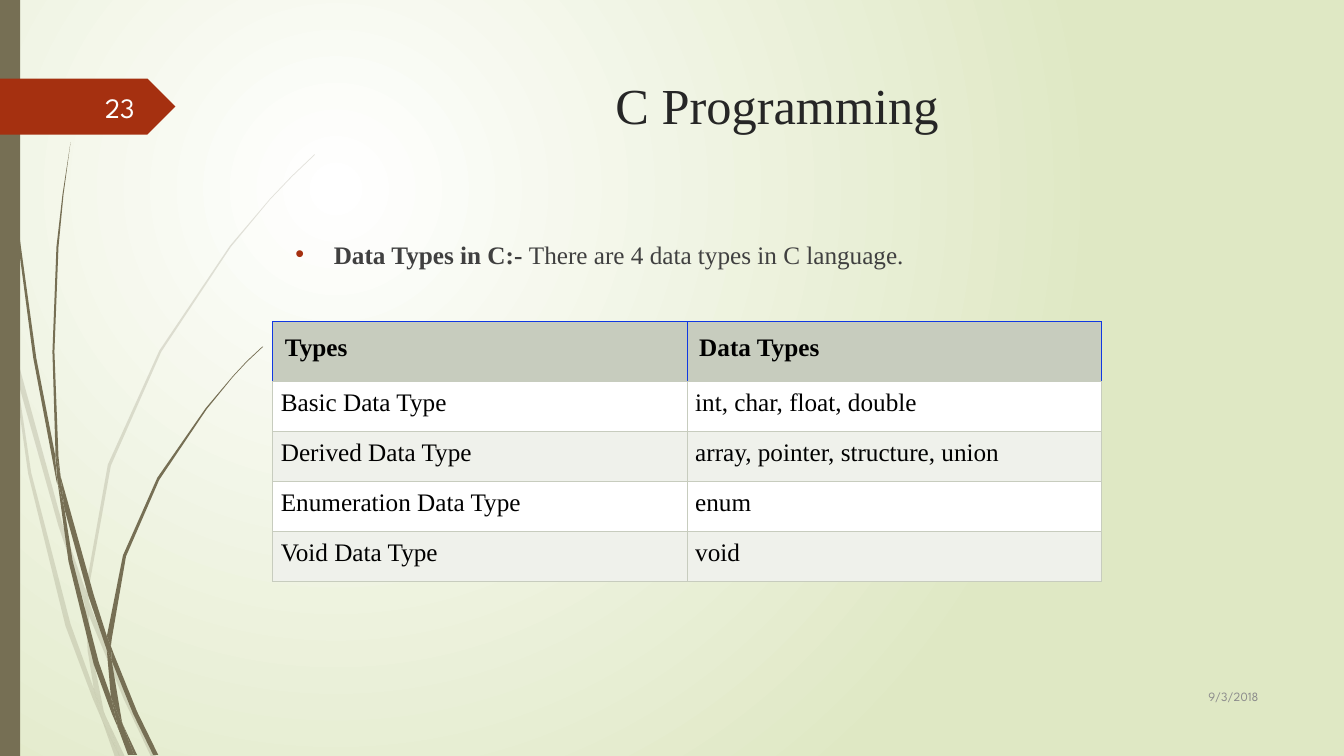
from typing import NamedTuple, Optional

from lxml.etree import SubElement
from pptx import Presentation
from pptx.dml.color import RGBColor as RGB
from pptx.enum.shapes import MSO_SHAPE as SHAPE
from pptx.enum.text import MSO_ANCHOR as ANCHOR, PP_ALIGN as ALIGN
from pptx.oxml.ns import qn
from pptx.util import Inches, Pt

COLORS = {
    "olive": "766F54", "rust": "A53010", "white": "FFFFFF", "meadow": "DFE8C4",
    "title": "262626", "body": "404040", "date": "8C8C8C", "number": "FEFFFF",
    "black": "000000", "header": "C7CCBE", "band": "EFF1EB", "blue": "1038E2",
}
SERIF, SANS = "Times New Roman", "League Spartan"
BORDER_PT = 0.75


class Box(NamedTuple):
    """Left, top, width and height in percent of the slide."""
    left: float
    top: float
    width: float
    height: float


class Style(NamedTuple):
    """Look of a run of text."""
    size: float
    font: str
    color: str
    bold: bool = False


class Grass(NamedTuple):
    """A tuft of grass: blade outlines in inches, and their opacity."""
    blades: list
    alpha: Optional[int] = None


class Label(NamedTuple):
    """A small right-aligned text."""
    text: str
    box: Box
    style: Style


PALE_GRASS = Grass([
    [(.11, 3.5), (.09, 3.22), (0, 2.82), (0, 2.99), (.1, 3.44)],
    [(.58, 5.22), (.84, 5.99), (.85, 5.86), (.62, 5.2), (.14, 3.45), (.17, 3.76)],
    [(.92, 6.07), (.88, 5.96), (.88, 6.1), (1.23, 6.94), (1.5, 7.51), (1.55, 7.51),
     (1.27, 6.92)],
    [(1.19, 7.51), (1.24, 7.51), (1.05, 7.11)],
    [(.93, 6.83), (.7, 6.19), (.31, 4.69), (.17, 3.76), (.11, 3.5), (.28, 4.7),
     (.65, 6.21), (.92, 6.93), (1.01, 7.14), (.99, 7.07)],
    [(.84, 5.99), (.87, 6.46), (.93, 6.83), (.96, 6.92), (1.05, 7.11), (1.03, 7.06),
     (.91, 6.46), (.88, 6.1), (.88, 6.08)],
    [(.88, 5.84), (1.1, 4.62), (1.6, 3.49), (2.29, 2.45), (2.68, 1.98), (2.9, 1.75),
     (3.12, 1.54), (3.12, 1.53), (2.89, 1.75), (2.68, 1.97), (2.28, 2.44),
     (1.58, 3.48), (1.07, 4.61), (.85, 5.84), (.85, 5.86), (.88, 5.96)],
    [(1.01, 7.14), (1.14, 7.51), (1.19, 7.51)],
    [(.88, 6.08), (.88, 6.1), (.88, 5.96), (.85, 5.86), (.84, 5.99)],
    [(.96, 6.92), (.93, 6.83), (.99, 7.07), (1.01, 7.14), (1.19, 7.51), (1.05, 7.11)],
], 20)
DARK_GRASS = Grass([
    [(.07, 1.1), (.17, 2.33), (.33, 3.55), (.56, 4.77), (.57, 4.81), (.55, 4.57),
     (.55, 4.53), (.36, 3.55), (.19, 2.32), (.08, 1.09), (.05, .48), (.04, 0),
     (.03, 0), (.04, .48)],
    [(.88, 5.92), (1.06, 6.45), (1.06, 6.31), (.93, 5.9), (.6, 4.72), (.64, 5.05)],
    [(1.13, 6.49), (1.1, 6.41), (1.11, 6.56), (1.32, 7.08), (1.52, 7.49),
     (1.57, 7.49), (1.36, 7.06)],
    [(1.1, 6.91), (.98, 6.57), (.72, 5.56), (.64, 5.05), (.57, 4.77), (.68, 5.57),
     (.93, 6.59), (1.11, 7.08), (1.17, 7.22), (1.16, 7.17)],
    [(.6, 4.72), (.58, 4.53), (.54, 3.49), (.58, 2.45), (.63, 1.93), (.7, 1.41),
     (.62, 1.93), (.56, 2.45), (.52, 3.49), (.55, 4.49)],
    [(1.33, 7.49), (1.36, 7.49), (1.22, 7.19)],
    [(.57, 4.77), (.64, 5.05), (.6, 4.72), (.55, 4.49), (.55, 4.53)],
    [(1.11, 6.33), (1.25, 5.52), (1.58, 4.76), (2.05, 4.06), (2.31, 3.74),
     (2.45, 3.59), (2.61, 3.44), (2.6, 3.44), (2.45, 3.58), (2.31, 3.73),
     (2.04, 4.05), (1.56, 4.74), (1.22, 5.51), (1.06, 6.31), (1.1, 6.41)],
    [(1.17, 7.22), (1.27, 7.49), (1.31, 7.49)],
    [(1.06, 6.45), (1.1, 6.91), (1.16, 7.06), (1.22, 7.19), (1.21, 7.16),
     (1.11, 6.56), (1.09, 6.51)],
    [(1.06, 6.45), (1.09, 6.51), (1.11, 6.56), (1.1, 6.41), (1.06, 6.31)],
    [(1.16, 7.06), (1.1, 6.91), (1.16, 7.17), (1.17, 7.22), (1.3, 7.49),
     (1.33, 7.49), (1.22, 7.19)],
])
LABELS = [
    Label("9/3/2018", Box(85, 89.43, 9.38, 5.47), Style(9, SANS, "date")),
    Label("23", Box(4.38, 11.47, 6.38, 5.33), Style(20, SANS, "number")),
]
ROWS = [
    ("Types", "Data Types"),
    ("Basic Data Type", "int, char, float, double"),
    ("Derived Data Type", "array, pointer, structure, union"),
    ("Enumeration Data Type", "enum"),
    ("Void Data Type", "void"),
]
TABLE_HEIGHT, HEADER_HEIGHT = 2.58, 0.59

prs = Presentation()
prs.slide_width, prs.slide_height = Inches(13.33), Inches(7.5)
s = prs.slides.add_slide(prs.slide_layouts[5])


def rgb(name: str) -> RGB:
    """Look a colour up by name."""
    return RGB.from_string(COLORS[name])


def place(box: Box) -> list:
    """Turn shares of the slide into lengths."""
    sides = (prs.slide_width, prs.slide_height) * 2
    return [round(share * side / 100) for share, side in zip(box, sides)]


def write(p, text: str, style: Style) -> None:
    """Add a formatted run to a paragraph."""
    r = p.add_run()
    r.text = text
    values = {"size": Pt(style.size), "name": style.font, "bold": style.bold}
    for key, value in values.items():
        setattr(r.font, key, value)
    r.font.color.rgb = rgb(style.color)


def paint(sp, color: str, alpha: Optional[int] = None) -> None:
    """Give a shape a plain fill, without line or shadow."""
    sp.shadow.inherit = False
    sp.fill.solid()
    sp.fill.fore_color.rgb = rgb(color)
    sp.line.fill.background()
    if alpha is not None:
        tint = next(sp.element.iter(qn("a:srgbClr")))
        SubElement(tint, qn("a:alpha"), {"val": str(alpha * 1000)})


def paint_background() -> None:
    """Fill the background with a round gradient."""
    fill = s.background.fill
    fill.gradient()
    for stop, color in zip(fill.gradient_stops, ("white", "meadow")):
        stop.color.rgb = rgb(color)
    grad = next(s.element.iter(qn("a:gradFill")))
    for line in grad.findall(qn("a:lin")):
        grad.remove(line)
    circle = SubElement(grad, qn("a:path"), {"path": "circle"})
    SubElement(circle, qn("a:fillToRect"),
               {"l": "50000", "t": "50000", "r": "100000", "b": "100000"})


def draw_grass(grass: Grass) -> None:
    """Draw each blade of a tuft as a closed outline."""
    for blade in grass.blades:
        start, *rest = [(Inches(x), Inches(y)) for x, y in blade]
        builder = s.shapes.build_freeform(*start)
        builder.add_line_segments(rest, close=True)
        paint(builder.convert_to_shape(), "olive", grass.alpha)


def add_text(box: Box):
    """Add a wrapping text box and return its frame."""
    tf = s.shapes.add_textbox(*place(box)).text_frame
    tf.word_wrap = True
    return tf


def set_borders(cell, colors: dict) -> None:
    """Draw the cell's edges; must run before the cell is filled."""
    props = cell._tc.get_or_add_tcPr()
    for edge, color in colors.items():
        line = SubElement(props, qn(f"a:ln{edge}"), {"w": str(Pt(BORDER_PT))})
        SubElement(SubElement(line, qn("a:solidFill")), qn("a:srgbClr"),
                   {"val": COLORS[color]})


def add_types_table() -> None:
    """Add the table of data types."""
    frame = s.shapes.add_table(len(ROWS), 2, *place(Box(20.3, 42.53, 61.66, 34.4)))
    table = frame.table
    table.first_row = table.horz_banding = False
    row_height = (TABLE_HEIGHT - HEADER_HEIGHT) / (len(ROWS) - 1)
    for i, texts in enumerate(ROWS):
        head = i == 0
        table.rows[i].height = Inches(HEADER_HEIGHT if head else row_height)
        edge = "blue" if head else "header"
        for j, text in enumerate(texts):
            cell = table.cell(i, j)
            set_borders(cell, {"L": edge, "R": edge, "T": edge, "B": "header"})
            cell.fill.solid()
            cell.fill.fore_color.rgb = rgb(
                "header" if head else "white" if i % 2 else "band")
            for side in ("left", "right", "top", "bottom"):
                setattr(cell, f"margin_{side}", Inches(0.12 if head else 0.08))
            write(cell.text_frame.paragraphs[0], text, Style(18, SERIF, "black", head))


paint_background()
for tuft in (PALE_GRASS, DARK_GRASS):
    draw_grass(tuft)
for preset, box, color in ((SHAPE.RECTANGLE, Box(0, 0, 1.5, 100), "olive"),
                           (SHAPE.PENTAGON, Box(0, 10.4, 13.05, 7.4), "rust")):
    paint(s.shapes.add_shape(preset, *place(box)), color)

title = s.shapes.title
title.left, title.top, title.width, title.height = place(Box(21.25, 9.07, 73.14, 18.67))
title.text_frame.vertical_anchor = ANCHOR.TOP
p = title.text_frame.paragraphs[0]
p.alignment = ALIGN.CENTER
write(p, "C Programming", Style(36, SERIF, "title"))

p = add_text(Box(21.25, 30.95, 73.14, 55.07)).paragraphs[0]
write(p, "Data Types in C:- ", Style(18, SERIF, "body", True))
write(p, "There are 4 data types in C language.", Style(18, SERIF, "body"))
props = p._p.get_or_add_pPr()
for key, value in {"marL": Inches(0.38), "indent": -Inches(0.38)}.items():
    props.set(key, str(value))
SubElement(SubElement(props, qn("a:buClr")), qn("a:srgbClr"), {"val": COLORS["rust"]})
SubElement(props, qn("a:buFont"), {"typeface": "Arial"})
SubElement(props, qn("a:buChar"), {"char": "•"})

for label in LABELS:
    tf = add_text(label.box)
    tf.vertical_anchor = ANCHOR.MIDDLE
    tf.paragraphs[0].alignment = ALIGN.RIGHT
    write(tf.paragraphs[0], label.text, label.style)
add_types_table()
prs.save("out.pptx")
